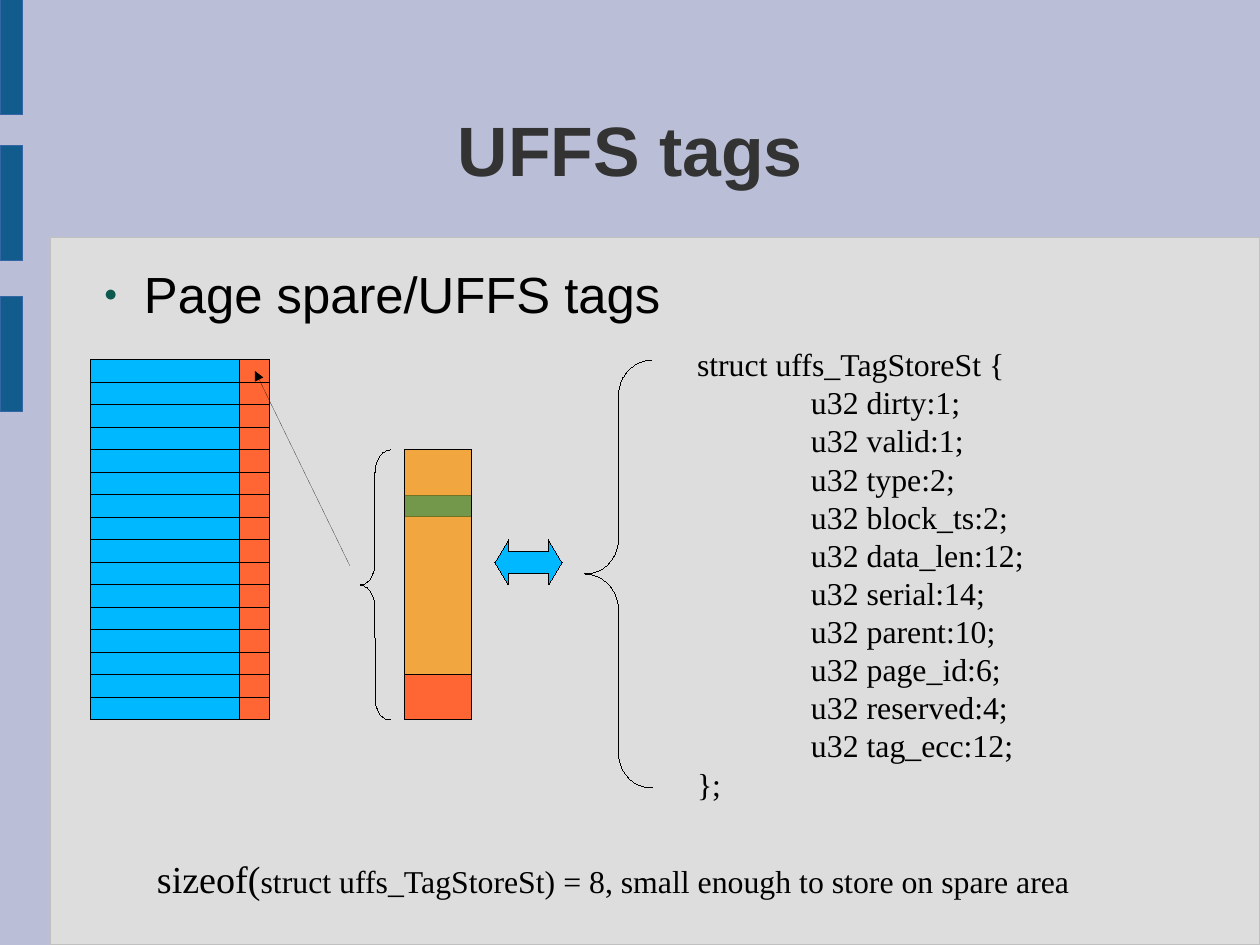
"""Build the UFFS tags slide: page spare areas and the tag structure stored there."""
import pptx
import pptx.util
import pptx.dml.color
import pptx.enum.shapes
import pptx.enum.text
import pptx.oxml
import pptx.oxml.ns

PX = 8000
WIDTH, HEIGHT = 1260, 945
SHAPE = pptx.enum.shapes.MSO_SHAPE
ALIGN = pptx.enum.text.PP_ALIGN
ANCHOR = pptx.enum.text.MSO_ANCHOR

BLUE, ORANGE, BLACK = "00B8FF", "FF6633", "000000"
SANS, SERIF = "Arial", "Times New Roman"

TITLE = "UFFS tags"
BULLET = "Page spare/UFFS tags"
FIELDS = ["dirty:1", "valid:1", "type:2", "block_ts:2", "data_len:12", "serial:14",
          "parent:10", "page_id:6", "reserved:4", "tag_ecc:12"]
STRUCT = ["struct uffs_TagStoreSt {", *[f"\tu32 {field};" for field in FIELDS], "};"]
SIZE_NOTE = [("sizeof(", 24),
             ("struct uffs_TagStoreSt) = 8, small enough to store on spare area", 20)]

PANEL = (51, 237, 1209, 708)
SIDE_BARS = [(0, 0, 23, 115), (0, 146, 23, 115), (0, 297, 23, 115)]
PAGE_COUNT = 16
PAGES = (90, 360, 180, 360)
DATA_WIDTH = 150
SPARE = (405, 450, 67, 270)
SPARE_USED = (405, 450, 67, 225)
STATUS_BYTE = (405, 495, 67, 22)
SPARE_BRACE = (360, 450, 30, 270)
STRUCT_BRACE = (585, 360, 67, 428)
EQUALS_ARROW = (495, 540, 67, 45)
POINTER = (350, 566, 255, 371)
FIELD_TAB = 114

prs = pptx.Presentation()
prs.slide_width, prs.slide_height = WIDTH * PX, HEIGHT * PX
s = prs.slides.add_slide(prs.slide_layouts[6])


def emu(*lengths):
    return [round(length * PX) for length in lengths]


def rgb(value):
    return pptx.dml.color.RGBColor.from_string(value)


def add_xml(parent, tag, **attrs):
    el = pptx.oxml.parse_xml(f"<a:{tag} {pptx.oxml.ns.nsdecls('a')}/>")
    for name, value in attrs.items():
        el.set(name, str(value))
    parent.append(el)
    return el


def set_hairline(sp, color):
    sp.line.color.rgb = rgb(color)
    ln = sp.line._get_or_add_ln()
    ln.set("w", "0")
    return ln


def add_shape(box, fill=None, line=BLACK, kind=SHAPE.RECTANGLE, adj=()):
    sp = s.shapes.add_shape(kind, *emu(*box))
    sp.shadow.inherit = False
    if fill:
        sp.fill.solid()
        sp.fill.fore_color.rgb = rgb(fill)
    else:
        sp.fill.background()
    set_hairline(sp, line)
    for i, value in enumerate(adj):
        sp.adjustments[i] = value
    return sp


def add_text(box, paragraphs, font, frame=None, para=None):
    tf = s.shapes.add_textbox(*emu(*box)).text_frame
    margins = dict.fromkeys(["margin_left", "margin_top", "margin_right", "margin_bottom"], 0)
    for name, value in {"word_wrap": True, **margins, **(frame or {})}.items():
        setattr(tf, name, value)
    for i, runs in enumerate(paragraphs):
        p = tf.add_paragraph() if i else tf.paragraphs[0]
        for name, value in (para or {}).items():
            setattr(p, name, value)
        for text, size in runs:
            r = p.add_run()
            r.text = text
            r.font.color.rgb = rgb(font["color"])
            for name, value in {**font["format"], "size": pptx.util.Pt(size)}.items():
                setattr(r.font, name, value)
    return tf


s.background.fill.solid()
s.background.fill.fore_color.rgb = rgb("BABED6")
add_shape(PANEL, "DDDDDD", "C0C0C0")
for bar in SIDE_BARS:
    add_shape(bar, "125C8D", "3465A4")

add_text((93, 70, 1075, 158), [[(TITLE, 44)]],
         {"color": "333333", "format": {"name": SANS, "bold": True}},
         {"vertical_anchor": ANCHOR.MIDDLE}, {"alignment": ALIGN.CENTER})

tf = add_text((90, 263, 1125, 74), [[(BULLET, 32)]],
              {"color": BLACK, "format": {"name": SANS}})
pPr = tf.paragraphs[0]._p.get_or_add_pPr()
pPr.set("marL", str(54 * PX))
pPr.set("indent", str(-40 * PX))
add_xml(add_xml(pPr, "buClr"), "srgbClr", val="0E594D")
add_xml(pPr, "buSzPct", val=45000)
add_xml(pPr, "buFont", typeface=SANS)
add_xml(pPr, "buChar", char="●")

left, top, width, height = PAGES
row = height / PAGE_COUNT
for i in range(PAGE_COUNT):
    y = top + i * row
    add_shape((left, y, DATA_WIDTH, row), BLUE)
    add_shape((left + DATA_WIDTH, y, width - DATA_WIDTH, row), ORANGE)

serif = {"color": BLACK, "format": {"name": SERIF}}
tf = add_text((697, 345, 428, 460), [[(text, 20)] for text in STRUCT], serif,
              para={"line_spacing": pptx.util.Pt(24)})
for p in tf.paragraphs:
    tabs = add_xml(p._p.get_or_add_pPr(), "tabLst")
    add_xml(tabs, "tab", pos=FIELD_TAB * PX, algn="l")
add_shape(STRUCT_BRACE, kind=SHAPE.LEFT_BRACE, adj=(0.53, 0.5))

pointer = s.shapes.add_connector(pptx.enum.shapes.MSO_CONNECTOR.STRAIGHT, *emu(*POINTER))
add_xml(set_hairline(pointer, BLACK), "tailEnd", type="triangle")
add_xml(pointer._element.spPr, "effectLst")

add_shape(SPARE, ORANGE)
add_shape(SPARE_BRACE, kind=SHAPE.LEFT_BRACE, adj=(0.75, 0.5))
add_shape(STATUS_BYTE, "004A4A")
add_shape(EQUALS_ARROW, BLUE, kind=SHAPE.LEFT_RIGHT_ARROW, adj=(0.5, 0.3))
used = add_shape(SPARE_USED, "E6E64C")
add_xml(used.fill._xPr.find(".//" + pptx.oxml.ns.qn("a:srgbClr")), "alpha", val=50000)

add_text((157, 855, 945, 60), [SIZE_NOTE], serif)

prs.save("out.pptx")
